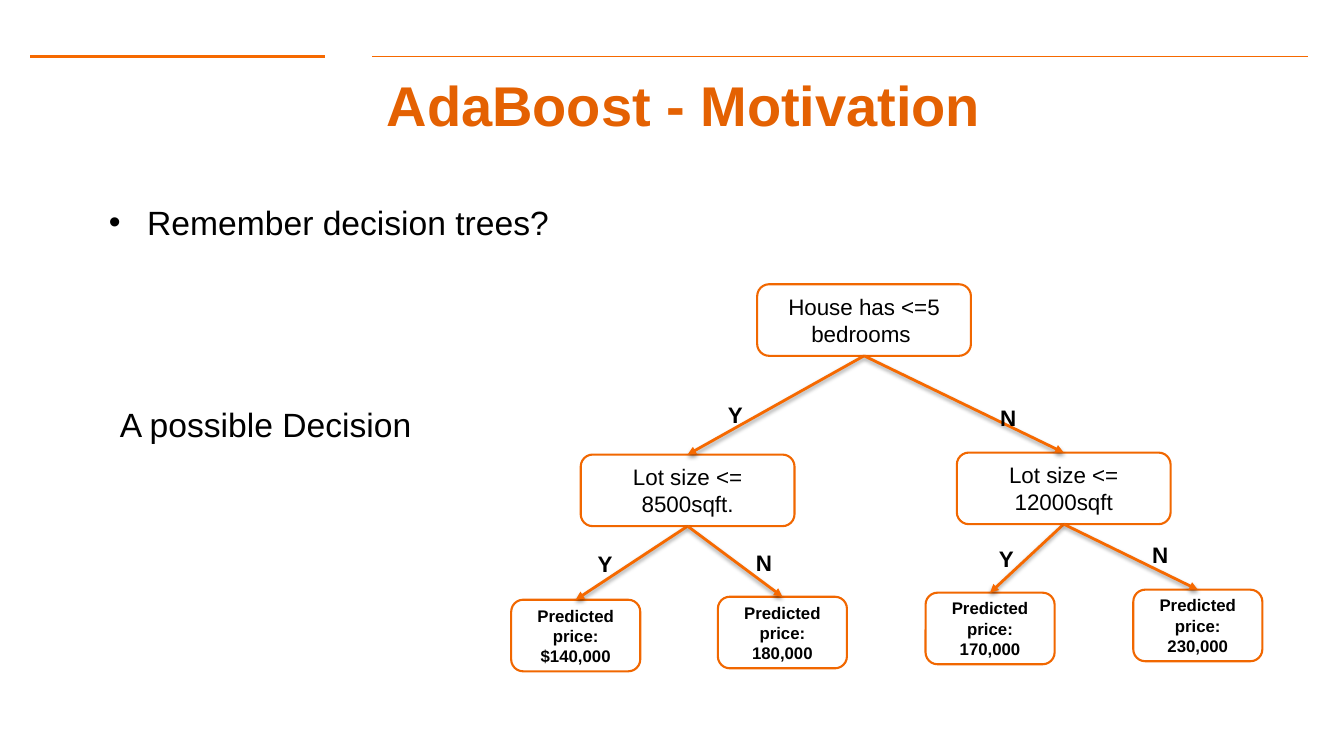
from lxml.etree import SubElement
from pptx import Presentation
from pptx.dml.color import RGBColor
from pptx.enum.shapes import MSO_CONNECTOR, MSO_SHAPE
from pptx.enum.text import MSO_ANCHOR, PP_ALIGN
from pptx.oxml.ns import qn
from pptx.util import Inches, Pt

COLORS = {"title": "E46102", "rule": "F66900", "node": "F16700",
          "text": "000000", "shadow": "000000"}
FONT = "Arial"
TITLE = "AdaBoost - Motivation"
BULLET = "Remember decision trees?"
CAPTION = "A possible Decision"

# Header rules: left, right, width in points
RULE_Y = 0.56
RULES = [(0.3, 3.22, 2), (3.69, 12.97, 1)]

# Tree nodes: name -> text, left, top, kind
NODES = {
    "root": ("House has <=5 bedrooms ", 7.51, 2.82, "test"),
    "small": ("Lot size <= 8500sqft.", 5.76, 4.51, "test"),
    "large": ("Lot size <= 12000sqft", 9.49, 4.49, "test"),
    "small_yes": ("Predicted price: $140,000", 5.07, 5.95, "price"),
    "small_no": ("Predicted price: 180,000", 7.12, 5.92, "price"),
    "large_yes": ("Predicted price: 170,000", 9.18, 5.88, "price"),
    "large_no": ("Predicted price: 230,000", 11.24, 5.85, "price"),
}
NODE_HEIGHT = 0.71
# Kind -> width, text size, bold
KINDS = {"test": (2.12, 16, False), "price": (1.28, 12, True)}

# Branches: parent, child, answer, left and top of the answer
BRANCHES = [
    ("root", "small", "Y", 7.12, 3.93),
    ("root", "large", "N", 9.82, 3.96),
    ("small", "small_yes", "Y", 5.83, 5.41),
    ("small", "small_no", "N", 7.4, 5.4),
    ("large", "large_yes", "Y", 9.81, 5.36),
    ("large", "large_no", "N", 11.33, 5.32),
]
ANSWER_SIZE = (0.36, 0.37)
BOTTOM, TOP = 2, 0


def color(name):
    return RGBColor.from_string(COLORS[name])


def write(box, text, size=16, bold=False, ink="text", align=PP_ALIGN.LEFT,
          anchor=MSO_ANCHOR.TOP, wrap=True, inset=None):
    frame = box.text_frame
    frame.word_wrap = wrap
    frame.vertical_anchor = anchor
    if inset is not None:
        frame.margin_left = frame.margin_right = Inches(inset)
        frame.margin_top = frame.margin_bottom = Inches(inset)
    para = frame.paragraphs[0]
    para.alignment = align
    span = para.add_run()
    span.text = text
    span.font.name, span.font.size, span.font.bold = FONT, Pt(size), bold
    span.font.color.rgb = color(ink)
    return para


def add_text(page, left, top, width, height, text, **style):
    box = page.shapes.add_textbox(*map(Inches, (left, top, width, height)))
    return write(box, text, **style)


def add_line(page, start, end, width):
    line = page.shapes.add_connector(
        MSO_CONNECTOR.STRAIGHT, *map(Inches, (*start, *end)))
    line.line.color.rgb = color("rule")
    line.line.width = Pt(width)
    effects = SubElement(line._element.spPr, qn("a:effectLst"))
    return line, effects


def add_node(page, text, left, top, kind):
    width, size, bold = KINDS[kind]
    node = page.shapes.add_shape(
        MSO_SHAPE.ROUNDED_RECTANGLE,
        *map(Inches, (left, top, width, NODE_HEIGHT)))
    node.shadow.inherit = False
    node.fill.background()
    node.line.color.rgb = color("node")
    node.line.width = Pt(1.5)
    write(node, text, size=size, bold=bold, align=PP_ALIGN.CENTER,
          anchor=MSO_ANCHOR.MIDDLE)
    return node


def add_branch(page, parent, child):
    arrow, effects = add_line(page, (0, 0), (1, 1), 2)
    arrow.begin_connect(parent, BOTTOM)
    arrow.end_connect(child, TOP)
    SubElement(arrow.line._get_or_add_ln(), qn("a:tailEnd"), type="triangle")
    shadow = SubElement(effects, qn("a:outerShdw"), blurRad=str(Pt(3.1)),
                        dist=str(Pt(1.6)), dir="5400000", rotWithShape="0")
    tint = SubElement(shadow, qn("a:srgbClr"), val=COLORS["shadow"])
    SubElement(tint, qn("a:alpha"), val="38000")


def main():
    deck = Presentation()
    deck.slide_width, deck.slide_height = Inches(13.33), Inches(7.5)
    page = deck.slides.add_slide(deck.slide_layouts[6])

    # Header
    for left, right, width in RULES:
        add_line(page, (left, RULE_Y), (right, RULE_Y), width)
    add_text(page, 0.78, 0.76, 12, 0.55, TITLE, size=40, bold=True,
             ink="title", align=PP_ALIGN.CENTER, anchor=MSO_ANCHOR.MIDDLE,
             inset=0.13)

    # Bullet with hanging indent
    para = add_text(page, 0.95, 1.87, 11.41, 4.57, BULLET, size=24, inset=0.13)
    props = para._p.get_or_add_pPr()
    props.set("marL", str(Inches(0.38)))
    props.set("indent", str(-Inches(0.38)))
    SubElement(props, qn("a:buFont"), typeface=FONT)
    SubElement(props, qn("a:buChar"), char="•")

    # Decision tree
    nodes = {name: add_node(page, *node) for name, node in NODES.items()}
    for parent, child, *_ in BRANCHES:
        add_branch(page, nodes[parent], nodes[child])
    for _, _, answer, left, top in BRANCHES:
        add_text(page, left, top, *ANSWER_SIZE, answer, bold=True, wrap=False)

    # Caption
    add_text(page, 1.09, 3.96, 3.38, 0.5, CAPTION, size=24)
    deck.save("out.pptx")


if __name__ == "__main__":
    main()
